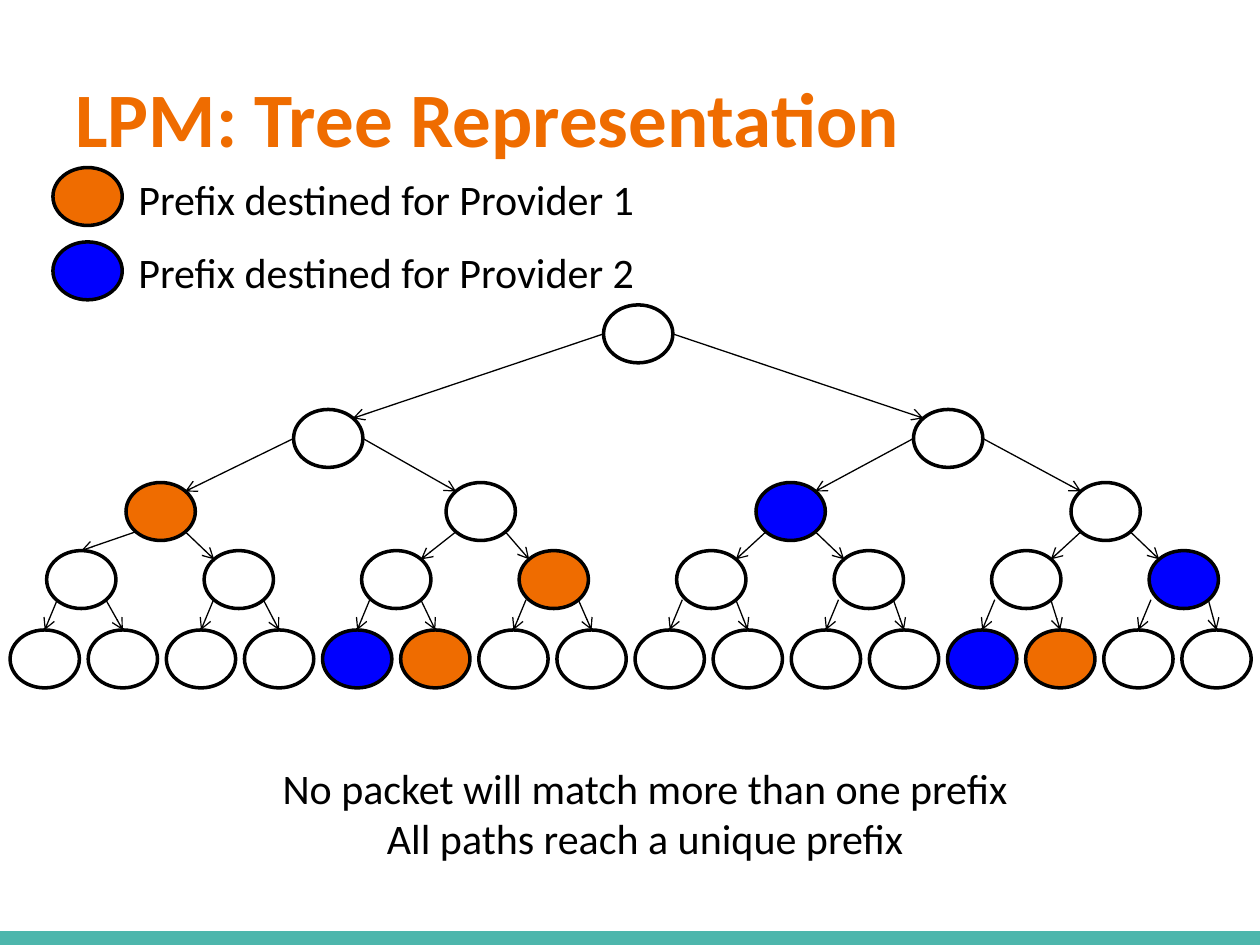
from dataclasses import dataclass

import lxml.etree
import pptx
import pptx.dml.color
import pptx.enum.shapes
import pptx.enum.text
import pptx.oxml.ns
import pptx.presentation
import pptx.slide
import pptx.util

Inches = pptx.util.Inches
Pt = pptx.util.Pt
RGBColor = pptx.dml.color.RGBColor
Align = pptx.enum.text.PP_ALIGN
Anchor = pptx.enum.text.MSO_ANCHOR
qn = pptx.oxml.ns.qn

ORANGE = RGBColor(0xEF, 0x6C, 0x00)
BLUE = RGBColor(0x00, 0x00, 0xFF)
WHITE = RGBColor(0xFF, 0xFF, 0xFF)
BLACK = RGBColor(0x00, 0x00, 0x00)
TEAL = RGBColor(0x4D, 0xB6, 0xAC)

NODE_WIDTH, NODE_HEIGHT = 0.55, 0.46
DIAGONAL_X, DIAGONAL_Y = 0.08, 0.07
LEAF_ARROW_SHIFT = 0.1


@dataclass(frozen=True)
class Node:
    left: float
    top: float
    color: RGBColor = WHITE

    @property
    def center(self) -> float:
        return self.left + NODE_WIDTH / 2

    def side_x(self, right: bool, inset: float) -> float:
        return self.left + (NODE_WIDTH - inset if right else inset)


@dataclass(frozen=True)
class Level:
    top: float
    lefts: list[float]
    colors: dict[int, RGBColor]

    def nodes(self) -> list[Node]:
        return [
            Node(left, self.top, self.colors.get(index, WHITE))
            for index, left in enumerate(self.lefts)
        ]


@dataclass(frozen=True)
class Label:
    left: float
    top: float
    width: float
    height: float
    lines: list[str]
    size: int = 24
    color: RGBColor = BLACK
    bold: bool = False
    align: Align = Align.LEFT
    anchor: Anchor = Anchor.TOP


LEVELS = [
    Level(2.42, [4.79], {}),
    Level(3.25, [2.33, 7.25], {}),
    Level(3.83, [1, 3.54, 6, 8.5], {0: ORANGE, 2: BLUE}),
    Level(4.37, [0.37 + 1.25 * i for i in range(8)], {3: ORANGE, 7: BLUE}),
    Level(5, [0.08 + 0.62 * i for i in range(16)],
          {4: BLUE, 5: ORANGE, 12: BLUE, 13: ORANGE}),
]
LEGEND = [Node(0.42, 1.33, ORANGE), Node(0.42, 1.92, BLUE)]
LABELS = [
    Label(0.5, 0.3, 9, 1.25, ["LPM: Tree Representation"], 44, ORANGE, True,
          anchor=Anchor.MIDDLE),
    Label(1, 1.33, 6.33, 0.5, ["Prefix destined for Provider 1"]),
    Label(1, 1.91, 6.33, 0.5, ["Prefix destined for Provider 2"]),
    Label(1.08, 6, 8.08, 0.91,
          ["No packet will match more than one prefix",
           "All paths reach a unique prefix"], align=Align.CENTER),
]


def draw_line(slide: pptx.slide.Slide, start: tuple[float, float],
              end: tuple[float, float], color: RGBColor, width: float,
              arrow: bool = False) -> None:
    line = slide.shapes.add_connector(
        pptx.enum.shapes.MSO_CONNECTOR.STRAIGHT,
        *(Inches(value) for value in (*start, *end)))
    line.line.color.rgb = color
    line.line.width = Pt(width)
    properties = line._element.spPr
    if arrow:
        lxml.etree.SubElement(
            properties.find(qn("a:ln")), qn("a:tailEnd"), type="arrow")
    lxml.etree.SubElement(properties, qn("a:effectLst"))


def draw_node(slide: pptx.slide.Slide, node: Node) -> None:
    oval = slide.shapes.add_shape(
        pptx.enum.shapes.MSO_SHAPE.OVAL, Inches(node.left), Inches(node.top),
        Inches(NODE_WIDTH), Inches(NODE_HEIGHT))
    oval.shadow.inherit = False
    oval.fill.solid()
    oval.fill.fore_color.rgb = node.color
    oval.line.color.rgb = BLACK
    oval.line.width = Pt(2)


def draw_branch(slide: pptx.slide.Slide, parent: Node, child: Node,
                depth: int, right: bool) -> None:
    to_leaf = depth == len(LEVELS) - 1
    if depth <= 2:
        start = (parent.side_x(right, 0), parent.top + NODE_HEIGHT / 2)
    elif to_leaf and not right:
        start = (child.center + LEAF_ARROW_SHIFT,
                 parent.top + NODE_HEIGHT - DIAGONAL_Y)
    else:
        start = (parent.side_x(right, DIAGONAL_X),
                 parent.top + NODE_HEIGHT - DIAGONAL_Y)
    leftmost_inner = depth == 3 and child.left == LEVELS[3].lefts[0]
    if to_leaf or leftmost_inner:
        end = (child.center, child.top)
    else:
        end = (child.side_x(not right, DIAGONAL_X), child.top + DIAGONAL_Y)
    draw_line(slide, start, end, BLACK, 0.75, arrow=True)


def draw_label(slide: pptx.slide.Slide, label: Label) -> None:
    frame = slide.shapes.add_textbox(
        Inches(label.left), Inches(label.top),
        Inches(label.width), Inches(label.height)).text_frame
    frame.word_wrap = True
    frame.vertical_anchor = label.anchor
    frame.text = "\n".join(label.lines)
    for paragraph in frame.paragraphs:
        paragraph.alignment = label.align
        paragraph.font.name = "Calibri"
        paragraph.font.size = Pt(label.size)
        paragraph.font.bold = label.bold
        paragraph.font.color.rgb = label.color


def main() -> None:
    deck = pptx.Presentation()
    deck.slide_width, deck.slide_height = Inches(10), Inches(7.5)
    slide = deck.slides.add_slide(deck.slide_layouts[6])
    draw_line(slide, (0, 7.46), (10, 7.46), TEAL, 10)

    tree = [level.nodes() for level in LEVELS]
    for node in [*sum(tree, []), *LEGEND]:
        draw_node(slide, node)
    for depth, children in enumerate(tree[1:], start=1):
        for index, child in enumerate(children):
            parent = tree[depth - 1][index // 2]
            draw_branch(slide, parent, child, depth, index % 2 == 1)
    for label in LABELS:
        draw_label(slide, label)
    deck.save("out.pptx")


if __name__ == "__main__":
    main()
